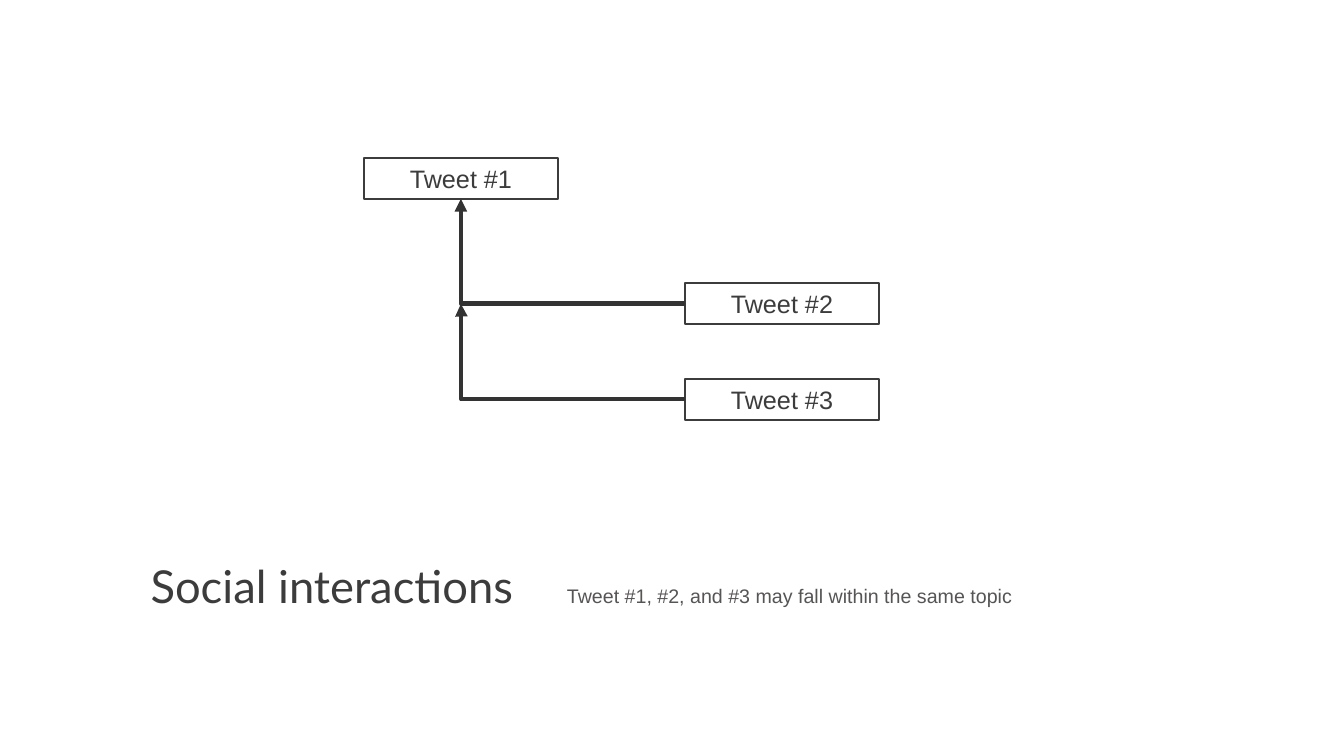
"""Build the slide on social interactions between tweets."""
import pptx
import pptx.dml.color
import pptx.enum.shapes
import pptx.enum.text
import pptx.oxml
import pptx.oxml.ns
import pptx.util

PX = 914400 / 100.8
INK = pptx.dml.color.RGBColor(0x3C, 0x3C, 0x3C)
CAPTION_GREY = pptx.dml.color.RGBColor(0x57, 0x54, 0x54)
ARROW_GREY = pptx.dml.color.RGBColor(0x33, 0x33, 0x33)
WHITE = pptx.dml.color.RGBColor(0xFF, 0xFF, 0xFF)
ALIGN = pptx.enum.text.PP_ALIGN
BOX_WIDTH, BOX_HEIGHT = 194, 41


def emu(*lengths):
    return [pptx.util.Emu(round(length * PX)) for length in lengths]


def write_text(shape, text, font, size, color, alignment, line_spacing):
    frame = shape.text_frame
    frame.word_wrap = True
    frame.vertical_anchor = pptx.enum.text.MSO_ANCHOR.MIDDLE
    paragraph = frame.paragraphs[0]
    paragraph.alignment = alignment
    paragraph.line_spacing = line_spacing
    run = paragraph.add_run()
    run.text = text
    run.font.name = font
    run.font.size = pptx.util.Pt(size)
    run.font.color.rgb = color


presentation = pptx.Presentation()
presentation.slide_width, presentation.slide_height = emu(1344, 756)
slide = presentation.slides.add_slide(presentation.slide_layouts[6])

title = slide.shapes.add_textbox(*emu(103, 550, 420, 78))
write_text(title, "Social interactions", "Lato", 32.4, INK, ALIGN.RIGHT, 0.9)

caption = slide.shapes.add_textbox(*emu(557, 528, 564, 122))
write_text(caption, "Tweet #1, #2, and #3 may fall within the same topic",
           "Arial", 14, CAPTION_GREY, ALIGN.JUSTIFY, 1.6)

tweets = []
for number, (left, top) in enumerate([(364, 158), (685, 283), (685, 379)], start=1):
    tweet = slide.shapes.add_shape(pptx.enum.shapes.MSO_SHAPE.RECTANGLE,
                                   *emu(left, top, BOX_WIDTH, BOX_HEIGHT))
    tweet.shadow.inherit = False
    tweet.fill.solid()
    tweet.fill.fore_color.rgb = WHITE
    tweet.line.color.rgb = INK
    tweet.line.width = pptx.util.Pt(1)
    write_text(tweet, f"Tweet #{number}", "Arial", 18, INK, ALIGN.CENTER, 1.0)
    tweets.append(tweet)

replies = []
for start_y, end_y in [(304, 199), (399, 304)]:
    reply = slide.shapes.add_connector(pptx.enum.shapes.MSO_CONNECTOR.ELBOW,
                                       *emu(685, start_y, 461, end_y))
    reply.line.color.rgb = ARROW_GREY
    reply.line.width = pptx.util.Pt(3)
    line = reply.line._get_or_add_ln()
    line.append(pptx.oxml.parse_xml(
        f'<a:tailEnd {pptx.oxml.ns.nsdecls("a")} type="triangle"/>'))
    reply._element.spPr.append(pptx.oxml.parse_xml(
        f'<a:effectLst {pptx.oxml.ns.nsdecls("a")}/>'))
    replies.append(reply)

first_reply, second_reply = replies
first_reply.begin_connect(tweets[1], 1)
first_reply.end_connect(tweets[0], 2)
first_reply._element.spPr.find(pptx.oxml.ns.qn("a:prstGeom")).set("prst", "bentConnector2")

second_reply.begin_connect(tweets[2], 1)
second_geometry = second_reply._element.spPr.find(pptx.oxml.ns.qn("a:prstGeom"))
guides = second_geometry.find(pptx.oxml.ns.qn("a:avLst"))
guides.append(pptx.oxml.parse_xml(
    f'<a:gd {pptx.oxml.ns.nsdecls("a")} name="adj1" fmla="val 99800"/>'))

presentation.save("out.pptx")
